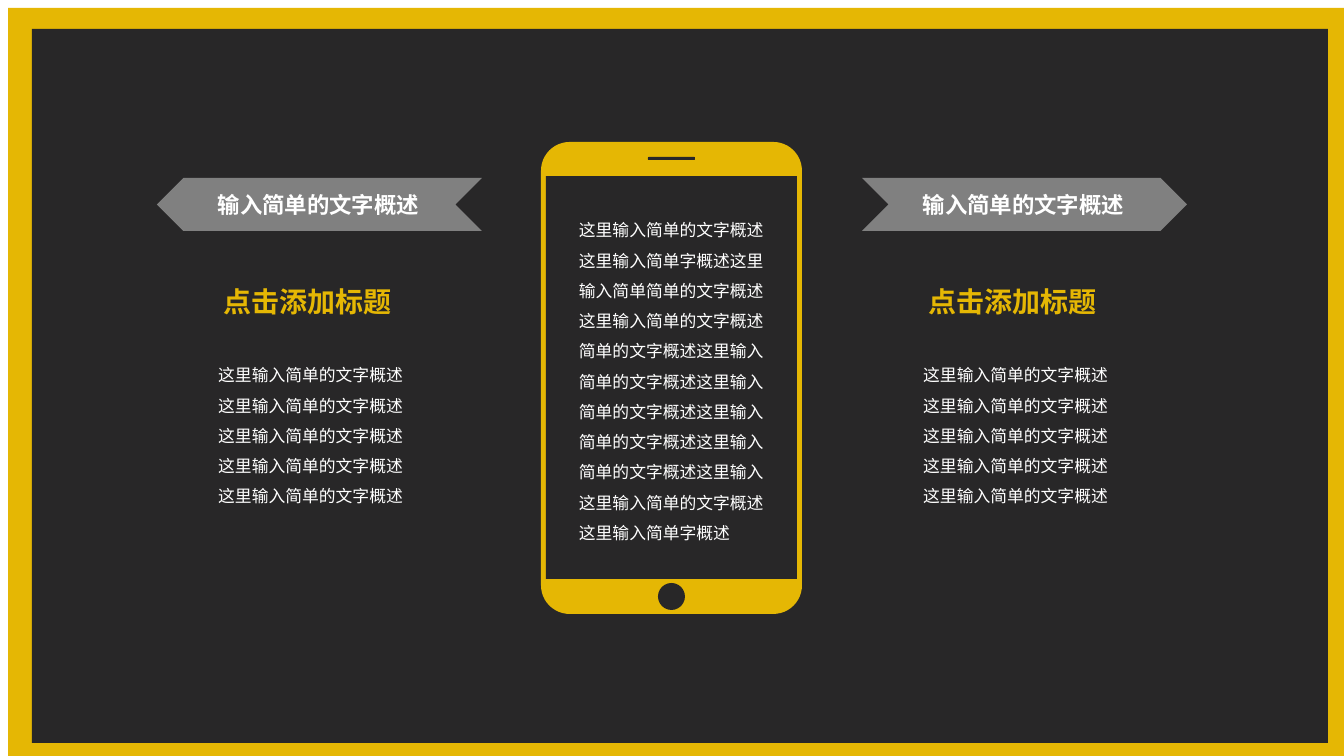
from dataclasses import dataclass

from lxml import etree
from pptx import Presentation
from pptx.dml.color import RGBColor
from pptx.enum.shapes import MSO_SHAPE
from pptx.enum.text import MSO_AUTO_SIZE, PP_ALIGN
from pptx.oxml.ns import qn
from pptx.util import Emu, Pt

RECT, ROUND_RECT = MSO_SHAPE.RECTANGLE, MSO_SHAPE.ROUNDED_RECTANGLE
OVAL, CHEVRON = MSO_SHAPE.OVAL, MSO_SHAPE.CHEVRON
LEFT, CENTER, RIGHT = PP_ALIGN.LEFT, PP_ALIGN.CENTER, PP_ALIGN.RIGHT
FIT_SHAPE = MSO_AUTO_SIZE.SHAPE_TO_FIT_TEXT

EMU_PER_PX = 914400 / 100.8
YELLOW, DARK, GREY, WHITE = "E5B704", "282728", "808080", "FFFFFF"
CJK_FONT, TITLE_FONT = "Noto Sans CJK SC", "Karla"

LINE = "这里输入简单的文字概述"
PHONE_TEXT = (LINE + "这里输入简单字概述" + "这里输入简单" + LINE[4:] + LINE
              + "简单的文字概述这里输入" * 5 + LINE + "这里输入简单字概述")


@dataclass
class Box:
    """A filled preset shape, in pixels."""
    kind: MSO_SHAPE
    x: int
    y: int
    w: int
    h: int
    fill: str
    rounding: float | None = None
    flip: bool = False


@dataclass
class Column:
    """One side column: its left offset and ribbon direction."""
    dx: int
    flip: bool


FRAME = [
    Box(RECT, 8, 8, 1344, 756, YELLOW),
    Box(RECT, 32, 29, 1296, 714, DARK),
]
PHONE = [
    Box(ROUND_RECT, 541, 142, 261, 472, YELLOW, rounding=0.11),
    Box(RECT, 546, 176, 251, 403, DARK),
    Box(ROUND_RECT, 648, 157, 47, 3, DARK, rounding=0.25),
    Box(OVAL, 658, 583, 27, 27, DARK),
]
COLUMNS = [Column(0, True), Column(705, False)]


def px(n: int) -> Emu:
    """Turn pixels into EMU."""
    return Emu(round(n * EMU_PER_PX))


def rgb(color: str) -> RGBColor:
    """Turn a hex string into a colour."""
    return RGBColor.from_string(color)


def add_box(slide, box: Box) -> None:
    """Draw a filled shape without line or shadow."""
    sp = slide.shapes.add_shape(box.kind, px(box.x), px(box.y), px(box.w), px(box.h))
    sp.shadow.inherit = False
    sp.fill.solid()
    sp.fill.fore_color.rgb = rgb(box.fill)
    sp.line.fill.background()
    if box.rounding is not None:
        sp.adjustments[0] = box.rounding
    if box.flip:
        sp._element.spPr.find(qn("a:xfrm")).set("flipH", "1")


def add_text(slide, text: str, x: int, y: int, w: int, h: int, *, size: int = 12,
             color: str = WHITE, font: str = CJK_FONT, bold: bool = False,
             align: PP_ALIGN = LEFT, spacing: float | None = 1.5,
             wrap: bool = True) -> None:
    """Draw a text box with one paragraph per line of text."""
    tf = slide.shapes.add_textbox(px(x), px(y), px(w), px(h)).text_frame
    tf.word_wrap = wrap
    tf.auto_size = FIT_SHAPE
    tf.text = text
    for p in tf.paragraphs:
        p.alignment = align
        p.line_spacing = spacing
        for r in p.runs:
            r.font.size = Pt(size)
            r.font.bold = bold
            r.font.color.rgb = rgb(color)
            r.font.name = font
            etree.SubElement(r.font._element, qn("a:ea"), typeface=CJK_FONT)


def add_column(slide, col: Column) -> None:
    """Draw a ribbon with its label, heading and body lines."""
    dx = col.dx
    add_box(slide, Box(CHEVRON, 157 + dx, 178, 325, 53, GREY, flip=col.flip))
    add_text(slide, "输入简单的文字概述", 208 + dx, 186, 224, 37,
             size=16, bold=True, spacing=None, wrap=False)
    add_text(slide, "点击添加标题", 213 + dx, 263, 190, 55, size=20,
             color=YELLOW, font=TITLE_FONT, bold=True, align=CENTER)
    add_text(slide, "\n".join([LINE] * 5), 204 + dx, 350, 209, 163, align=RIGHT)


def main() -> None:
    """Build and save the slide."""
    prs = Presentation()
    prs.slide_width, prs.slide_height = px(1344), px(756)
    slide = prs.slides.add_slide(prs.slide_layouts[6])
    for box in FRAME + PHONE:
        add_box(slide, box)
    add_text(slide, PHONE_TEXT, 569, 205, 208, 346)
    for col in COLUMNS:
        add_column(slide, col)
    prs.save("out.pptx")


main()
